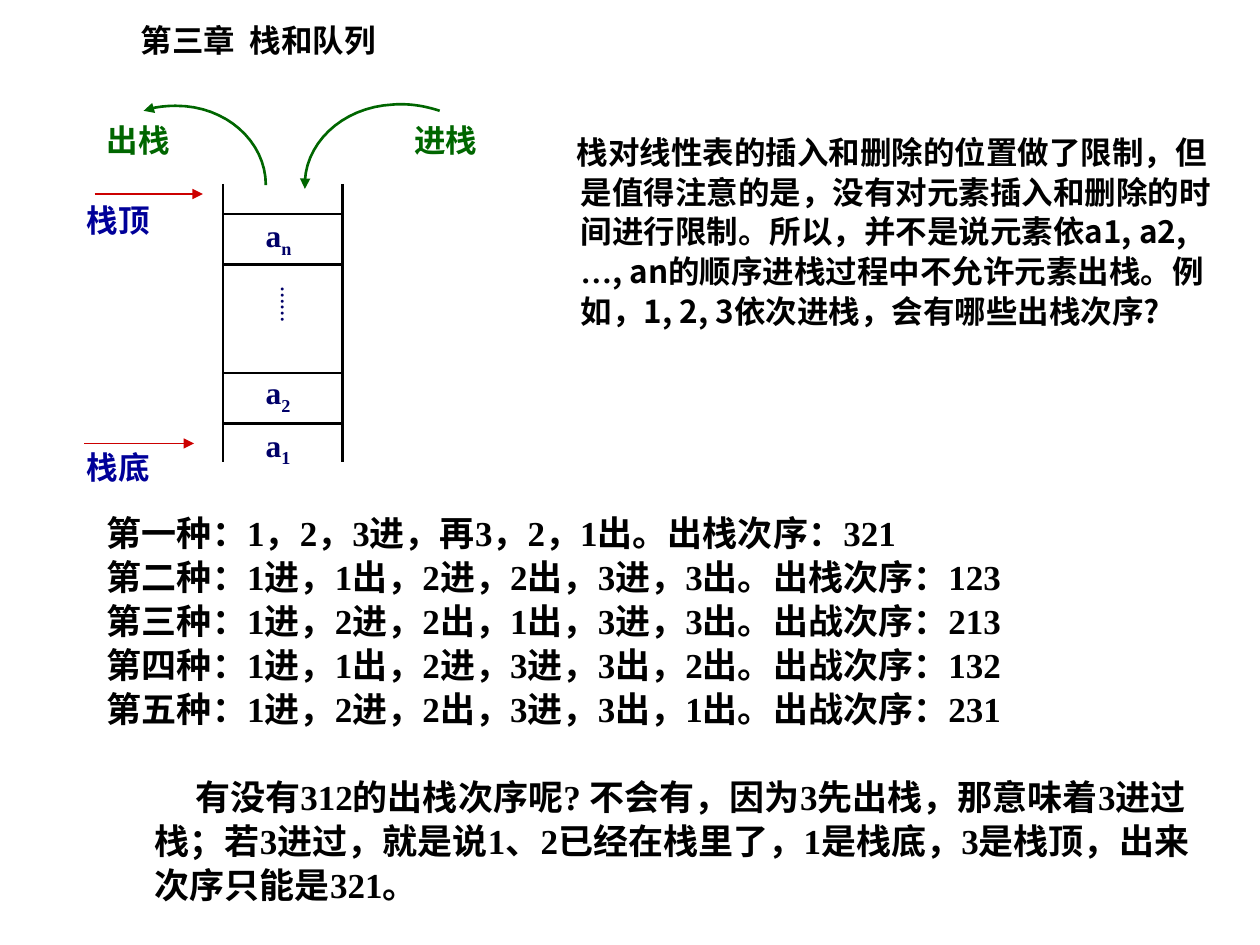
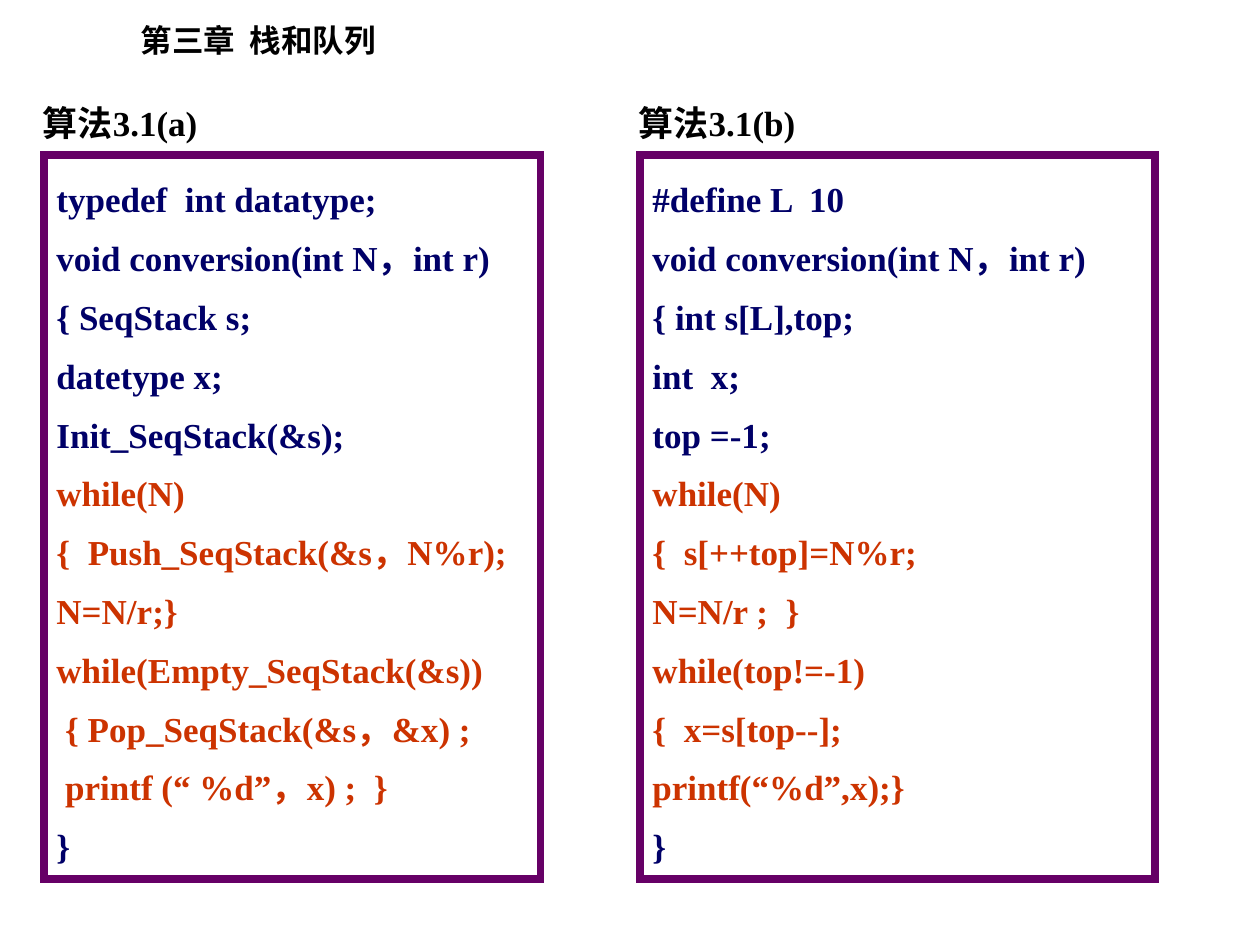
from lxml import etree
from pptx import Presentation
from pptx.dml.color import RGBColor
from pptx.enum import shapes, text
from pptx.oxml import ns
from pptx.util import Inches, Pt

COLORS = {
    "black": "000000",
    "navy": "000068",
    "blue": "000099",
    "green": "006600",
    "red": "CC0000",
    "orange": "CC3300",
    "purple": "660066",
}
SERIF = "Times New Roman"
SANS = "Noto Sans CJK SC"


def add_text(slide, box, runs, size=18, color="black", spacing=None):
    """Add a text box with one paragraph; each run is (words, font, baseline)."""
    shape = slide.shapes.add_textbox(*[Inches(value) for value in box])
    shape.text_frame.word_wrap = True
    paragraph = shape.text_frame.paragraphs[0]
    paragraph.line_spacing = spacing
    for words, font, baseline in runs:
        add_run(paragraph, words, size, color, font, baseline)
    return shape


def add_run(paragraph, words, size, color, font=SERIF, baseline=0):
    run = paragraph.add_run()
    run.text = words
    run.font.size = Pt(size)
    run.font.bold = True
    run.font.name = font
    run.font.color.rgb = RGBColor.from_string(COLORS[color])
    properties = run._r.get_or_add_rPr()
    etree.SubElement(properties, ns.qn("a:ea")).set("typeface", SANS)
    if baseline:
        properties.set("baseline", str(baseline * 1000))


presentation = Presentation()
presentation.slide_width = Inches(10)
presentation.slide_height = Inches(7.5)

# Both slides carry the chapter title
slides = []
for _ in range(2):
    slide = presentation.slides.add_slide(presentation.slide_layouts[6])
    add_text(slide, (1.02, 0.12, 2.7, 0.4), [("第三章  栈和队列", SERIF, 0)])
    slides.append(slide)
stack_slide, code_slide = slides

# Stack body
left, right, top, bottom = 1.77, 2.72, 1.7, 3.36
body = stack_slide.shapes.add_shape(
    shapes.MSO_SHAPE.RECTANGLE,
    Inches(left), Inches(top), Inches(right - left), Inches(bottom - top))
body.shadow.inherit = False
body.fill.background()
body.line.color.rgb = RGBColor.from_string(COLORS["black"])
body.line.width = Pt(1.5)

# Cell dividers, open wall ends and the red pointers
lines = [(left, y, right, y, "black", 1.5) for y in (2.1, 2.96)]
for x in (left, right):
    lines += [(x, 1.46, x, 1.78, "black", 1.5), (x, bottom, x, 3.67, "black", 1.5)]
lines += [(0.75, 1.54, 1.61, 1.54, "red", 0.75), (0.67, 3.52, 1.54, 3.52, "red", 0.75)]
for x1, y1, x2, y2, color, width in lines:
    connector = stack_slide.shapes.add_connector(
        shapes.MSO_CONNECTOR.STRAIGHT, Inches(x1), Inches(y1), Inches(x2), Inches(y2))
    connector.line.color.rgb = RGBColor.from_string(COLORS[color])
    connector.line.width = Pt(width)
    if color == "red":
        etree.SubElement(connector.line._get_or_add_ln(), ns.qn("a:tailEnd")).set("type", "triangle")
    etree.SubElement(connector._element.spPr, ns.qn("a:effectLst"))

# Stack elements
for subscript, y in (("1", 3.36), ("2", 2.94), ("n", 1.7)):
    add_text(stack_slide, (2.01, y, 0.47, 0.38),
             [("a", SERIF, 0), (subscript, SERIF, -25)], color="navy", spacing=0.8)
dots = add_text(stack_slide, (2.06, 2.36, 0.63, 0.26), [("……", SERIF, -25)],
                color="navy", spacing=0.8)
dots.rotation = 90
dots.text_frame.vertical_anchor = text.MSO_ANCHOR.MIDDLE

# Curved push and pop arrows, sampled from two Bezier segments each
curves = [
    ("tailEnd", [(3.49, 0.88), (3.37, 0.84), (3.24, 0.82), (3.12, 0.83),
                 (2.71, 0.85), (2.4, 1.15), (2.42, 1.5)]),
    ("headEnd", [(1.14, 0.88), (1.22, 0.85), (1.31, 0.84), (1.4, 0.84),
                 (1.79, 0.84), (2.11, 1.12), (2.11, 1.47)]),
]
steps = 16
for arrow_end, controls in curves:
    points = []
    for first in (0, 3):
        segment = controls[first:first + 4]
        for step in range(1, steps + 1):
            t = step / steps
            weights = ((1 - t) ** 3, 3 * t * (1 - t) ** 2, 3 * t ** 2 * (1 - t), t ** 3)
            points.append([Inches(sum(weight * point[axis] for weight, point in zip(weights, segment)))
                           for axis in (0, 1)])
    builder = stack_slide.shapes.build_freeform(*[Inches(value) for value in controls[0]])
    builder.add_line_segments(points, close=False)
    curve = builder.convert_to_shape()
    curve.shadow.inherit = False
    curve.fill.background()
    curve.line.color.rgb = RGBColor.from_string(COLORS["green"])
    curve.line.width = Pt(1.5)
    etree.SubElement(curve.line._get_or_add_ln(), ns.qn(f"a:{arrow_end}")).set("type", "triangle")

# Stack labels
for label, x, y, color in (("进栈", 3.19, 0.91, "green"), ("出栈", 0.75, 0.91, "green"),
                           ("栈底", 0.59, 3.51, "blue"), ("栈顶", 0.59, 1.55, "blue")):
    add_text(stack_slide, (x, y, 1, 0.4), [(label, SERIF, 0)], color=color)

# Pop orders, then the question about 312
orders = [
    "第一种：1，2，3进，再3，2，1出。出栈次序：321",
    "第二种：1进，1出，2进，2出，3进，3出。出栈次序：123",
    "第三种：1进，2进，2出，1出，3进，3出。出战次序：213",
    "第四种：1进，1出，2进，3进，3出，2出。出战次序：132",
    "第五种：1进，2进，2出，3进，3出，1出。出战次序：231",
]
question = ("有没有312的出栈次序呢? 不会有，因为3先出栈，那意味着3进过栈；"
            "若3进过，就是说1、2已经在栈里了，1是栈底，3是栈顶，出来次序只能是321。")
frame = add_text(stack_slide, (0.75, 3.99, 9.05, 3.51), [(orders[0], SERIF, 0)],
                 size=20, spacing=1.05).text_frame
for words in orders[1:] + [question]:
    paragraph = frame.add_paragraph()
    paragraph.line_spacing = 1.05
    add_run(paragraph, words, 20, "black")
paragraph.space_before = Pt(25)
indent = paragraph._p.get_or_add_pPr()
indent.set("marL", str(Inches(0.38)))
indent.set("indent", str(Inches(0.32)))
indent.set("hangingPunct", "0")

# Remark on insertion and deletion
remark = add_text(stack_slide, (4.13, 0.99, 5.59, 1.99), [
    ("栈对线性表的插入和删除的位置做了限制，但是值得注意的是，没有对元素插入和删除的时间进行限制。"
     "所以，并不是说元素依a1, a2, ", SANS, 0),
    ("…", SERIF, 0),
    (", an的顺序进栈过程中不允许元素出栈。例如，1, 2, 3依次进栈，会有哪些出栈次序?", SANS, 0),
], spacing=1.05)
indent = remark.text_frame.paragraphs[0]._p.get_or_add_pPr()
indent.set("marL", str(Inches(0.38)))
indent.set("indent", str(Inches(-0.03)))

# Two listings side by side; the loops are orange
listings = [
    ("算法3.1(a)", 0.35, 3.94, [
        "typedef  int datatype;",
        "void conversion(int N，int r)",
        "{ SeqStack s;",
        "datetype x;",
        "Init_SeqStack(&s);",
        "while(N)",
        "{  Push_SeqStack(&s，N%r);",
        "N=N/r;}",
        "while(Empty_SeqStack(&s))",
        " { Pop_SeqStack(&s，&x) ;",
        " printf (“ %d”，x) ;  }",
        "}",
    ]),
    ("算法3.1(b)", 5.08, 4.09, [
        "#define L  10",
        "void conversion(int N，int r)",
        "{ int s[L],top;",
        "int  x;",
        "top =-1;",
        "while(N)",
        "{  s[++top]=N%r;",
        "N=N/r ;  }",
        "while(top!=-1)",
        "{  x=s[top--];",
        "printf(“%d”,x);}",
        "}",
    ]),
]
for heading, x, width, code in listings:
    add_text(code_slide, (x - 0.11, 0.76, 1.8, 0.44), [(heading, SERIF, 0)], size=20)
    panel = code_slide.shapes.add_shape(
        shapes.MSO_SHAPE.RECTANGLE, Inches(x), Inches(1.23), Inches(width), Inches(5.75))
    panel.shadow.inherit = False
    panel.fill.background()
    panel.line.color.rgb = RGBColor.from_string(COLORS["purple"])
    panel.line.width = Pt(4.5)
    etree.SubElement(panel.line._get_or_add_ln(), ns.qn("a:miter")).set("lim", "800000")
    frame = panel.text_frame
    frame.word_wrap = True
    frame.vertical_anchor = text.MSO_ANCHOR.TOP
    for number, words in enumerate(code):
        paragraph = frame.add_paragraph() if number else frame.paragraphs[0]
        paragraph.alignment = text.PP_ALIGN.JUSTIFY
        paragraph.line_spacing = 1.4
        add_run(paragraph, words, 20, "orange" if 5 <= number <= 10 else "navy")

presentation.save("out.pptx")
